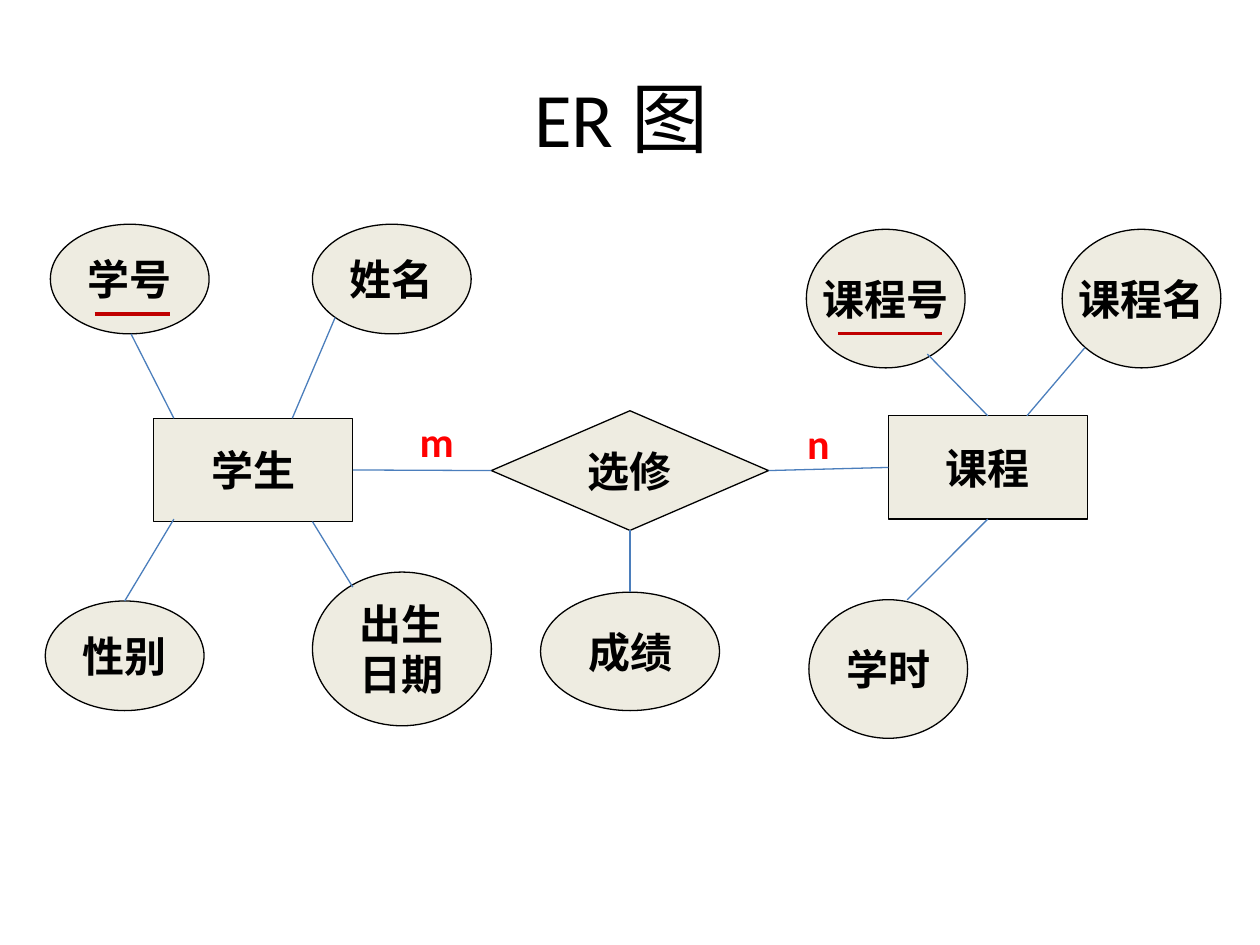
from dataclasses import dataclass

from lxml.etree import SubElement
from pptx import Presentation
from pptx.dml.color import RGBColor
from pptx.enum.shapes import MSO_CONNECTOR as Link, MSO_SHAPE as Shape
from pptx.enum.text import MSO_ANCHOR as Anchor, PP_ALIGN as Align
from pptx.oxml.ns import qn
from pptx.util import Inches, Pt


@dataclass(frozen=True)
class Theme:
    ink: RGBColor = RGBColor(0x00, 0x00, 0x00)
    fill: RGBColor = RGBColor(0xEE, 0xEC, 0xE1)
    link: RGBColor = RGBColor(0x4B, 0x7E, 0xBC)
    key: RGBColor = RGBColor(0xC0, 0x00, 0x00)
    ratio: RGBColor = RGBColor(0xFF, 0x00, 0x00)
    node_font: str = "Arial"
    text_font: str = "Calibri"
    title_size: int = 44
    label_size: int = 24
    outline: float = 0.75


THEME = Theme()
TOP, LEFT, BOTTOM, RIGHT = range(4)

ENTITY_SIZE = (1.58, 0.82)
OVAL_SIZE = (1.26, 0.87)
ROUND_SIZE = (1.26, 1.1)

NODES = [
    ("课程", Shape.FLOWCHART_PROCESS, (7.05, 3.3), ENTITY_SIZE),
    ("选修", Shape.DIAMOND, (3.9, 3.26), (2.2, 0.95)),
    ("学生", Shape.FLOWCHART_PROCESS, (1.22, 3.32), ENTITY_SIZE),
    ("性别", Shape.OVAL, (0.36, 4.77), OVAL_SIZE),
    ("学号", Shape.OVAL, (0.4, 1.78), OVAL_SIZE),
    ("姓名", Shape.OVAL, (2.48, 1.78), OVAL_SIZE),
    ("出生\n日期", Shape.OVAL, (2.48, 4.54), (1.42, 1.22)),
    ("学时", Shape.OVAL, (6.42, 4.76), ROUND_SIZE),
    ("课程号", Shape.OVAL, (6.4, 1.82), ROUND_SIZE),
    ("课程名", Shape.OVAL, (8.43, 1.82), ROUND_SIZE),
    ("成绩", Shape.OVAL, (4.29, 4.7), (1.42, 0.94)),
]

ATTRIBUTE_LINKS = [
    ((1.04, 2.65), (1.38, 3.32)),
    ((2.32, 3.32), (2.66, 2.52)),
    ((2.48, 4.14), (2.8, 4.66)),
    ((8.15, 3.3), (8.61, 2.76)),
]

JOINED_LINKS = [
    (("课程", TOP), (7.84, 3.3), (7.36, 2.81), None),
    (("课程", BOTTOM), (7.84, 4.12), (7.2, 4.76), None),
    (None, (1.38, 4.12), (0.99, 4.77), ("性别", TOP)),
    (("学生", RIGHT), (2.8, 3.73), (3.9, 3.73), ("选修", LEFT)),
    (("选修", RIGHT), (6.1, 3.73), (7.05, 3.71), ("课程", LEFT)),
    (("选修", BOTTOM), (5, 4.21), (5, 4.7), ("成绩", TOP)),
]

RATIOS = [("m", (3.19, 3.16), (0.55, 0.67)), ("n", (6.1, 3.19), (0.79, 0.64))]

KEY_MARKS = [((6.65, 2.65), (7.48, 2.65), 1.75), ((0.75, 2.49), (1.35, 2.49), 2.25)]


def inches(*lengths):
    return [Inches(length) for length in lengths]


def write(frame, text, font, size, color, bold=True, wrap=True):
    frame.word_wrap = wrap
    frame.vertical_anchor = Anchor.MIDDLE
    for index, words in enumerate(text.split("\n")):
        paragraph = frame.add_paragraph() if index else frame.paragraphs[0]
        paragraph.alignment = Align.CENTER
        run = paragraph.add_run()
        run.text = words
        run.font.name = font
        run.font.size = Pt(size)
        run.font.bold = bold
        run.font.color.rgb = color


def add_title(slide, text):
    title = slide.shapes.title
    title.left, title.top, title.width, title.height = inches(0.5, 0.3, 9, 1.25)
    write(title.text_frame, text, THEME.text_font, THEME.title_size, THEME.ink, bold=False)


def add_node(slide, text, outline, place, size):
    node = slide.shapes.add_shape(outline, *inches(*place, *size))
    node.shadow.inherit = False
    node.fill.solid()
    node.fill.fore_color.rgb = THEME.fill
    node.line.color.rgb = THEME.ink
    node.line.width = Pt(THEME.outline)
    write(node.text_frame, text, THEME.node_font, THEME.label_size, THEME.ink, wrap=False)
    return node


def add_line(slide, start, end, color=THEME.link, width=THEME.outline):
    line = slide.shapes.add_connector(Link.STRAIGHT, *inches(*start, *end))
    line.line.color.rgb = color
    line.line.width = Pt(width)
    SubElement(line.element.spPr, qn("a:effectLst"))
    return line


def add_ratio(slide, text, place, size):
    ratio = slide.shapes.add_textbox(*inches(*place, *size))
    write(ratio.text_frame, text, THEME.text_font, THEME.label_size, THEME.ratio)


def main():
    deck = Presentation()
    deck.slide_width, deck.slide_height = inches(10, 7.5)
    slide = deck.slides.add_slide(deck.slide_layouts[5])

    add_title(slide, "ER 图 ")
    nodes = {node[0]: add_node(slide, *node) for node in NODES}
    for start, end in ATTRIBUTE_LINKS:
        add_line(slide, start, end)
    for source, start, end, target in JOINED_LINKS:
        link = add_line(slide, start, end)
        if source:
            link.begin_connect(nodes[source[0]], source[1])
        if target:
            link.end_connect(nodes[target[0]], target[1])
    for ratio in RATIOS:
        add_ratio(slide, *ratio)
    for start, end, width in KEY_MARKS:
        add_line(slide, start, end, THEME.key, width)

    deck.save("out.pptx")


if __name__ == "__main__":
    main()
